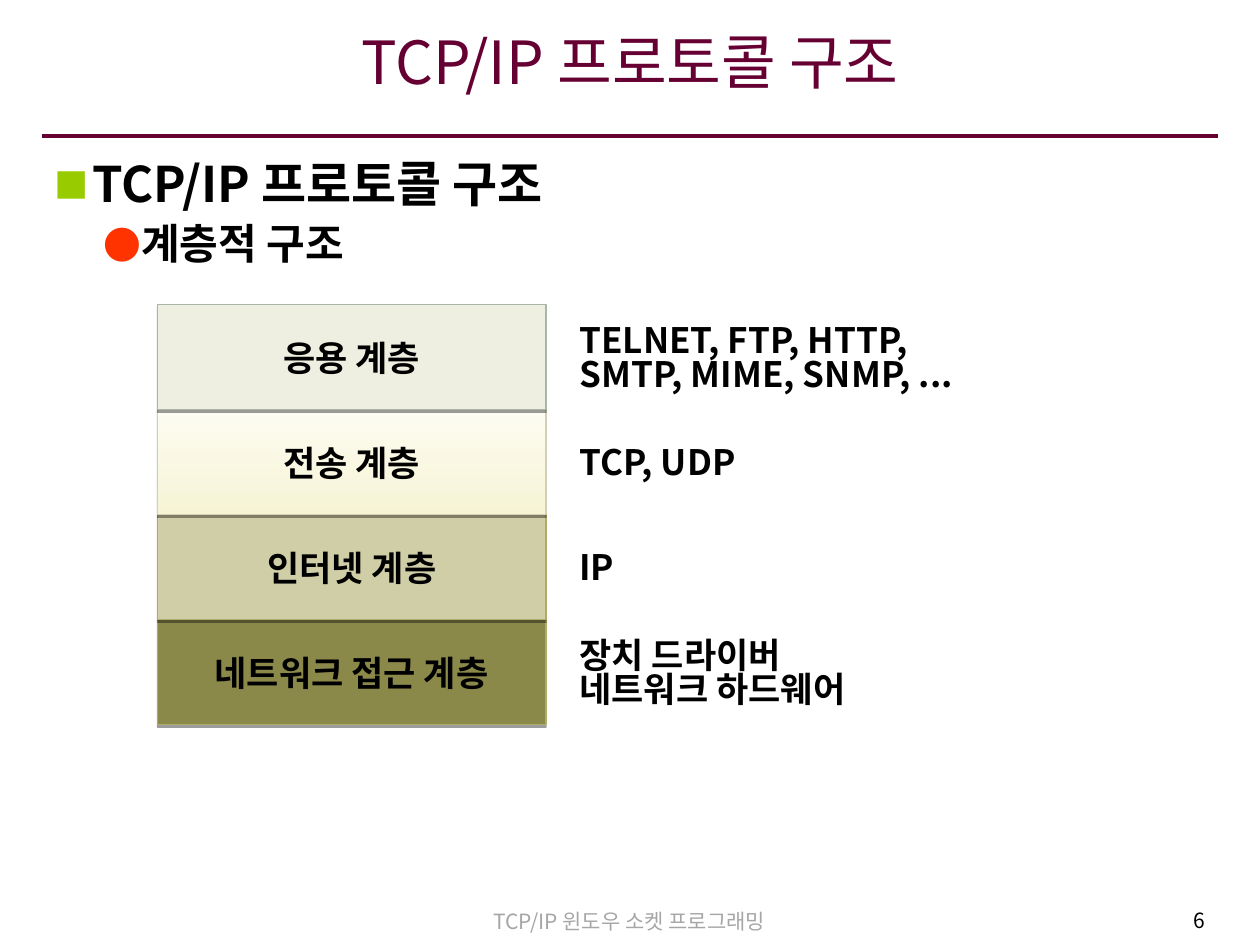
import pptx
import pptx.dml.color
import pptx.enum.shapes
import pptx.enum.text
import pptx.oxml
import pptx.oxml.ns
import pptx.util

Pt = pptx.util.Pt
Align = pptx.enum.text.PP_ALIGN
Anchor = pptx.enum.text.MSO_ANCHOR
SPACE = pptx.oxml.ns.nsdecls("a")


def paint(code):
    """Turn a hex string into a colour."""
    return pptx.dml.color.RGBColor.from_string(code)


def attach(node, xml):
    """Add pieces of drawing XML to a node."""
    for part in list(pptx.oxml.parse_xml(f"<a:wrap {SPACE}>{xml}</a:wrap>")):
        node.append(part)


class Deck:
    """Hold the style and the current slide."""

    font = "Noto Sans CJK KR"
    black = "000000"
    wine = "660033"

    def __init__(self):
        """Open a deck with one title-only slide."""
        self.show = pptx.Presentation()
        self.show.slide_width, self.show.slide_height = Pt(720), Pt(540)
        self.slide = self.show.slides.add_slide(self.show.slide_layouts[5])

    def put(self, para, text, size, color=black, bold=False, font=font):
        """Add one run to a paragraph."""
        run = para.add_run()
        run.text = text
        run.font.size, run.font.bold = Pt(size), bold
        run.font.name = font
        run.font.color.rgb = paint(color)
        attach(run._r.get_or_add_rPr(), f'<a:ea typeface="{self.font}"/>')

    def frame(self, shape, anchor, pads=(7.2, 3.6, 7.2, 3.6), wrap=True):
        """Set anchor, insets and wrapping of a shape's text."""
        body = shape.text_frame
        body.word_wrap, body.vertical_anchor = wrap, anchor
        (body.margin_left, body.margin_top,
         body.margin_right, body.margin_bottom) = map(Pt, pads)
        return body

    def title(self, text):
        """Place and fill the title."""
        shape = self.slide.shapes.title
        shape.left, shape.top, shape.width, shape.height = map(Pt, (24, 10.8, 672, 61.2))
        body = self.frame(shape, Anchor.MIDDLE, (5.8, 3.6, 5.8, 11.5))
        body.auto_size = pptx.enum.text.MSO_AUTO_SIZE.NONE
        para = body.paragraphs[0]
        para.alignment, para.line_spacing = Align.CENTER, 0.9
        self.put(para, text, 34, self.wine)

    def rule(self, left, right, top):
        """Draw a level line."""
        line = self.slide.shapes.add_connector(
            pptx.enum.shapes.MSO_CONNECTOR.STRAIGHT, Pt(left), Pt(top), Pt(right), Pt(top))
        line.line.color.rgb, line.line.width = paint(self.wine), Pt(2.25)
        attach(line._element.spPr, "<a:effectLst/>")

    def note(self, text, area, align, color):
        """Add a small footer text."""
        box = self.slide.shapes.add_textbox(*map(Pt, area))
        para = self.frame(box, Anchor.TOP).paragraphs[0]
        para.alignment = align
        self.put(para, text, 12, color)

    def points(self, items, area):
        """Add a bulleted outline."""
        body = self.frame(self.slide.shapes.add_textbox(*map(Pt, area)), Anchor.TOP)
        for rank, (text, size, gap, left, mark, color, scale) in enumerate(items):
            para = body.add_paragraph() if rank else body.paragraphs[0]
            para.level, para.line_spacing, para.space_before = rank, 0.9, Pt(gap)
            props = para._p.get_or_add_pPr()
            props.set("marL", str(Pt(left)))
            props.set("indent", str(Pt(-21.6)))
            attach(props, f'<a:buClr><a:srgbClr val="{color}"/></a:buClr>'
                          f'<a:buSzPct val="{scale}000"/>'
                          f'<a:buFont typeface="{self.font}"/>'
                          f'<a:buChar char="{mark}"/>')
            self.put(para, text, size, bold=True)

    def layer(self, text, area, fill, edge):
        """Add a layer box; two fill colours make a gradient."""
        box = self.slide.shapes.add_shape(
            pptx.enum.shapes.MSO_SHAPE.RECTANGLE, *map(Pt, area))
        if len(fill) == 2:
            box.fill.gradient()
            box.fill.gradient_angle = 270
            for stop, color, place in zip(box.fill.gradient_stops, fill, (0, 1)):
                stop.color.rgb, stop.position = paint(color), place
        else:
            box.fill.solid()
            box.fill.fore_color.rgb = paint(fill[0])
        box.line.color.rgb, box.line.width = paint(edge), Pt(0.75)
        attach(box._element.spPr,
               f'<a:effectLst><a:outerShdw blurRad="0" dist="{Pt(1.6)}" dir="5400000" '
               'rotWithShape="0"><a:srgbClr val="000000"><a:alpha val="38000"/>'
               '</a:srgbClr></a:outerShdw></a:effectLst>')
        para = self.frame(box, Anchor.MIDDLE, wrap=False).paragraphs[0]
        para.alignment = Align.CENTER
        self.put(para, text, 20, bold=True, font="Arial")

    def label(self, lines, area):
        """Add the protocol names beside a layer."""
        box = self.slide.shapes.add_textbox(*map(Pt, area))
        body = self.frame(box, Anchor.MIDDLE, (7.2, 7, 7.2, 3.6))
        for rank, text in enumerate(lines):
            para = body.add_paragraph() if rank else body.paragraphs[0]
            para.line_spacing = 0.83
            self.put(para, text, 20, bold=True)


def main():
    """Build the slide."""
    deck = Deck()
    topic = "TCP/IP 프로토콜 구조"
    deck.rule(24, 696, 77.5)
    deck.note("TCP/IP 윈도우 소켓 프로그래밍", (206.6, 515.5, 306, 21.6),
              Align.CENTER, "A6A6A6")
    deck.note("6", (543, 515, 152.6, 23.8), Align.RIGHT, deck.black)
    deck.title(topic)
    deck.points([(topic, 28, 7, 21.6, "■", "99CC00", 70),
                 ("계층적 구조", 24, 6, 49.7, "●", "FF3300", 90)],
                (24, 87.8, 672, 422))
    stack = [
        ("응용 계층", ["EFEFE1"], "A9B5A9", ["TELNET, FTP, HTTP,", "SMTP, MIME, SNMP, ..."]),
        ("전송 계층", ["FDFCF2", "F6F4D5"], "D1CFB5", ["TCP, UDP"]),
        ("인터넷 계층", ["D0CEA6"], "AFAC67", ["IP"]),
        ("네트워크 접근 계층", ["8B894A"], "AFAC67", ["장치 드라이버", "네트워크 하드웨어"]),
    ]
    for rank, (name, fill, edge, lines) in reversed(list(enumerate(stack))):
        top = 174 + 60 * rank
        deck.layer(name, (90, top, 222, 60), fill, edge)
        deck.label(lines, (324, top, 240, 60))
    deck.show.save("out.pptx")


if __name__ == "__main__":
    main()
